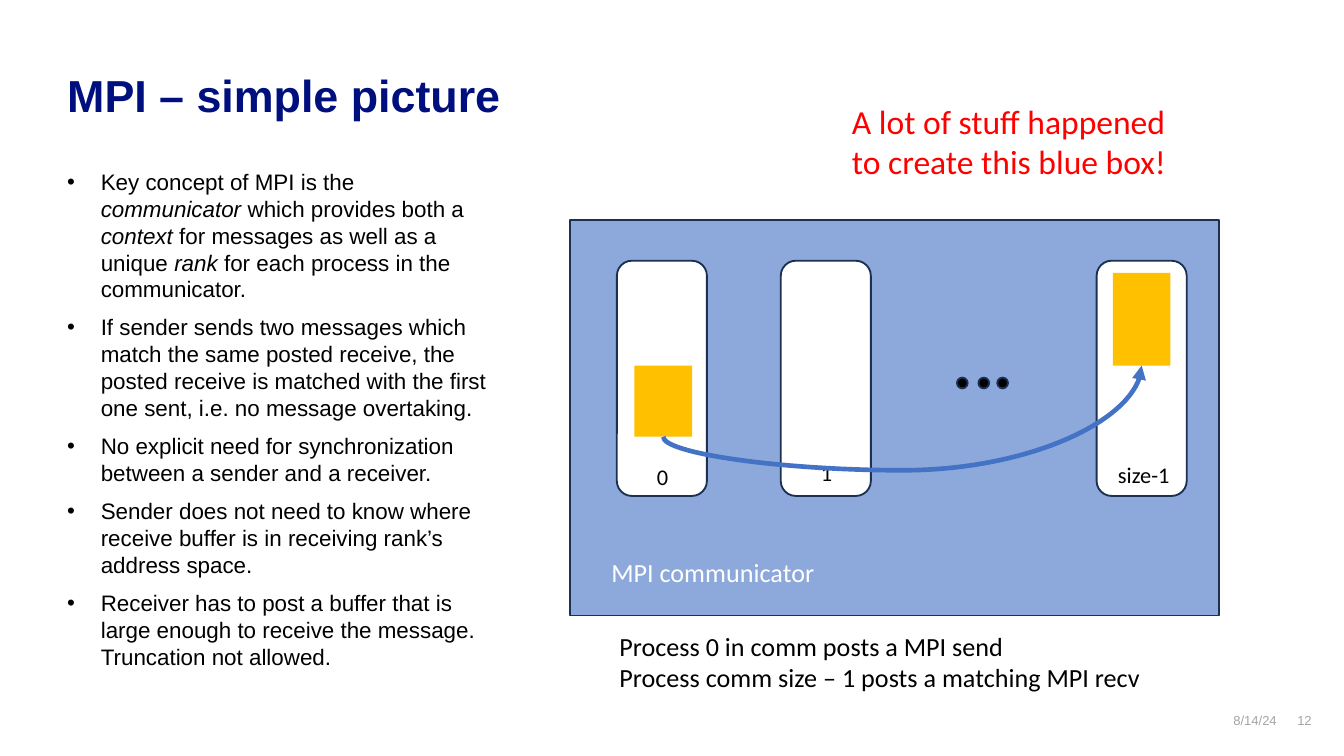
"""Build the slide that shows message passing inside an MPI communicator."""
from dataclasses import dataclass

from lxml import etree
from pptx import Presentation
from pptx.dml.color import RGBColor
from pptx.enum.shapes import MSO_CONNECTOR, MSO_SHAPE
from pptx.enum.text import MSO_ANCHOR, MSO_AUTO_SIZE, PP_ALIGN
from pptx.oxml.ns import qn
from pptx.util import Inches, Pt

RECT, ROUND, OVAL = MSO_SHAPE.RECTANGLE, MSO_SHAPE.ROUNDED_RECTANGLE, MSO_SHAPE.OVAL
CURVE = MSO_CONNECTOR.CURVE
TOP, LEFT, RIGHT = MSO_ANCHOR.TOP, PP_ALIGN.LEFT, PP_ALIGN.RIGHT
FIXED = MSO_AUTO_SIZE.NONE


@dataclass(frozen=True)
class Theme:
    head: str = "Arial"
    body: str = "Calibri"
    navy: str = "000F7E"
    black: str = "000000"
    white: str = "FFFFFF"
    gray: str = "A5A5A5"
    red: str = "FF0000"
    box: str = "8DA9DB"
    edge: str = "1C3052"
    gold: str = "FFC000"
    arrow: str = "4472C4"
    tiny: int = 7
    small: int = 12
    mid: int = 14
    large: int = 18
    title: int = 24


T = Theme()
TITLE = "MPI – simple picture"
POINTS = [
    [("Key concept of MPI is the ", False), ("communicator ", True),
     ("which provides both a ", False), ("context", True),
     (" for messages as well as a unique ", False), ("rank", True),
     (" for each process in the communicator.", False)],
    [("If sender sends two messages which match the same posted receive, the posted "
      "receive is matched with the first one sent, i.e. no message overtaking.", False)],
    [("No explicit need for synchronization between a sender and a receiver.", False)],
    [("Sender does not need to know where receive buffer is in receiving rank’s "
      "address space.", False)],
    [("Receiver has to post a buffer that is large enough to receive the message.  "
      "Truncation not allowed.", False)],
]
RANKS = [("0", 4.59, (4.79, 3.4, 0.37, 0.3)),
         ("1", 5.81, (6.01, 3.37, 0.37, 0.3)),
         ("size-1", 8.16, (8.22, 3.38, 0.67, 0.3))]
DOTS = [7.12, 7.28, 7.42]
SEND, RECV = (4.72, 2.72, 0.43, 0.53), (8.28, 2.03, 0.43, 0.69)
NOTES = [
    (["MPI communicator"], (4.45, 4.09, 2.2, 0.34), T.mid, T.white),
    (["Process 0 in comm posts a MPI send",
      "Process comm size – 1 posts a matching MPI recv"],
     (4.51, 4.64, 4.28, 0.57), T.mid, T.black),
    (["A lot of stuff happened to create this blue box!"],
     (6.24, 0.7, 2.65, 0.71), T.large, T.red),
]
FOOT = [("12", (9.52, 5.3, 0.24, 0.22)), ("8/14/24", (8.83, 5.3, 0.67, 0.16))]


def style(font, name, size, color, bold=False):
    font.name, font.size, font.bold = name, Pt(size), bold
    font.color.rgb = RGBColor.from_string(color)


def place(shape, area):
    shape.left, shape.top, shape.width, shape.height = map(Inches, area)


def bare(frame):
    frame.margin_left = frame.margin_right = frame.margin_top = frame.margin_bottom = 0
    frame.word_wrap, frame.auto_size, frame.vertical_anchor = True, FIXED, TOP


def block(slide, kind, area, fill, edge=None):
    shape = slide.shapes.add_shape(kind, *map(Inches, area))
    shape.shadow.inherit = False
    shape.fill.solid()
    shape.fill.fore_color.rgb = RGBColor.from_string(fill)
    if edge:
        shape.line.color.rgb = RGBColor.from_string(edge)
        shape.line.width = Pt(1)
    else:
        shape.line.fill.background()


def label(slide, lines, area, size, color, name=T.body):
    frame = slide.shapes.add_textbox(*map(Inches, area)).text_frame
    frame.word_wrap = True
    frame.text = "\n".join(lines)
    for para in frame.paragraphs:
        style(para.font, name, size, color)
    return frame


def bullet(para):
    props = para._p.get_or_add_pPr()
    props.set("marL", str(Inches(0.25)))
    props.set("indent", str(Inches(-0.25)))
    font = etree.SubElement(props, qn("a:buFont"))
    font.set("typeface", T.head)
    etree.SubElement(props, qn("a:buChar")).set("char", "•")


def prose(slide):
    head, body = slide.shapes.title, slide.placeholders[1]
    place(head, (0.5, 0.5, 4.95, 0.73))
    place(body, (0.5, 1.25, 3.19, 3.88))
    bare(head.text_frame)
    bare(body.text_frame)
    head.text_frame.text = TITLE
    para = head.text_frame.paragraphs[0]
    para.alignment = LEFT
    style(para.font, T.head, T.title, T.navy, True)
    for i, runs in enumerate(POINTS):
        para = body.text_frame.add_paragraph() if i else body.text_frame.paragraphs[0]
        para.space_before = Pt(6 if i else 0)
        bullet(para)
        style(para.font, T.head, T.small, T.black)
        for text, slant in runs:
            run = para.add_run()
            run.text, run.font.italic = text, slant


def link(slide):
    start = SEND[0] + SEND[2] / 2, SEND[1] + SEND[3]
    end = RECV[0] + RECV[2] / 2, RECV[1] + RECV[3]
    mid_x, mid_y = (start[0] + end[0]) / 2, (start[1] + end[1]) / 2
    half_w, half_h = (start[1] - end[1]) / 2, (end[0] - start[0]) / 2
    line = slide.shapes.add_connector(CURVE, *map(Inches, (
        mid_x - half_w, mid_y - half_h, mid_x + half_w, mid_y + half_h)))
    line.line.color.rgb = RGBColor.from_string(T.arrow)
    line.line.width = Pt(2.5)
    props = line._element.spPr
    props.find(qn("a:xfrm")).set("rot", str(270 * 60000))
    guide = etree.SubElement(props.find(qn("a:prstGeom")).find(qn("a:avLst")), qn("a:gd"))
    guide.set("name", "adj1")
    guide.set("fmla", "val -47100")
    etree.SubElement(props.find(qn("a:ln")), qn("a:tailEnd")).set("type", "triangle")
    etree.SubElement(props, qn("a:effectLst"))


def main():
    deck = Presentation()
    deck.slide_width, deck.slide_height = Inches(10), Inches(10) * 9 // 16
    slide = deck.slides.add_slide(deck.slide_layouts[1])
    prose(slide)
    block(slide, RECT, (4.24, 1.64, 4.83, 2.94), T.box, T.edge)
    for _, x, _ in RANKS:
        block(slide, ROUND, (x, 1.94, 0.67, 1.75), T.white, T.edge)
    for x in DOTS:
        block(slide, OVAL, (x, 2.81, 0.08, 0.08), T.black, T.edge)
    for area in (SEND, RECV):
        block(slide, RECT, area, T.gold)
    for text, _, area in RANKS:
        label(slide, [text], area, T.small, T.black)
    link(slide)
    for note in NOTES:
        label(slide, *note)
    for text, area in FOOT:
        frame = label(slide, [text], area, T.tiny, T.gray, T.head)
        bare(frame)
        frame.paragraphs[0].alignment = RIGHT
    deck.save("out.pptx")


if __name__ == "__main__":
    main()
